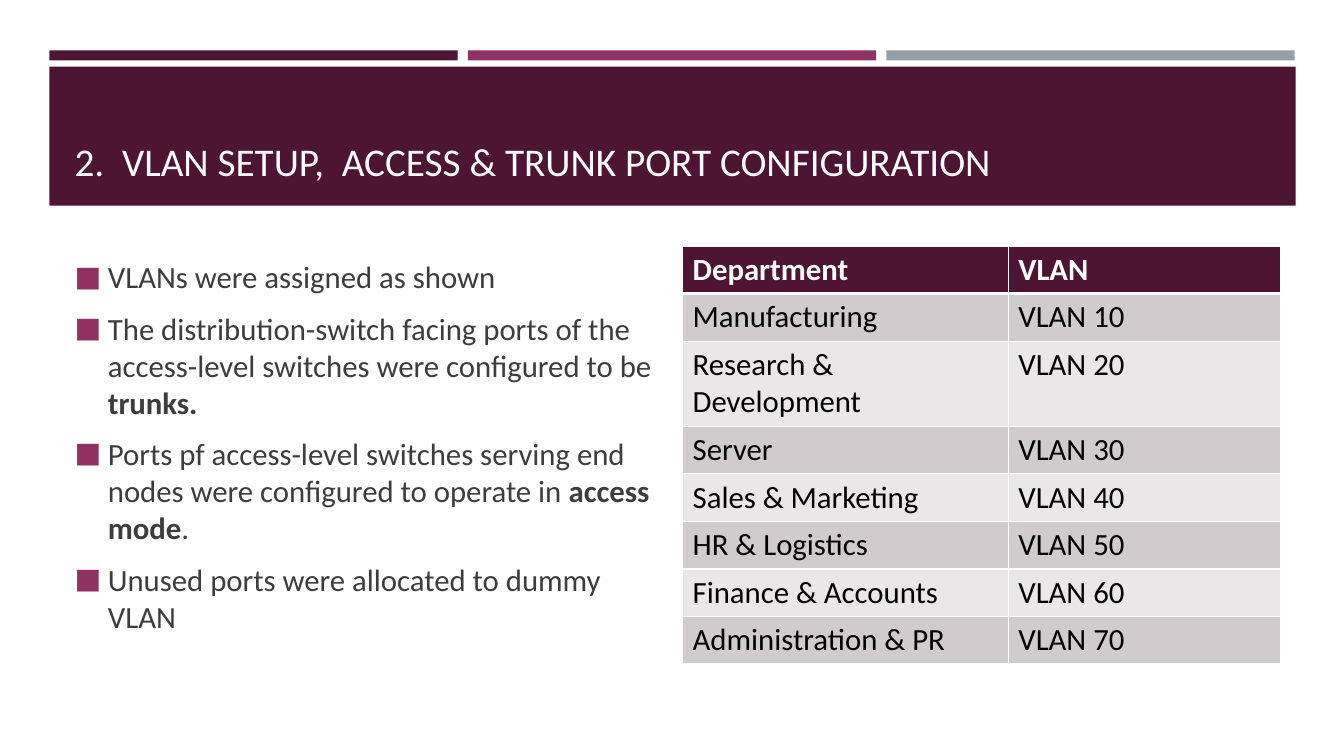
from dataclasses import dataclass

from lxml import etree
from pptx import Presentation
from pptx.dml.color import RGBColor
from pptx.enum import shapes, text
from pptx.oxml.ns import qn
from pptx.util import Inches, Pt

TITLE = "2.  VLAN SETUP,  ACCESS & TRUNK PORT CONFIGURATION"
BULLETS = [
    [("VLANs were assigned as shown", False)],
    [("The distribution-switch facing ports of the access-level switches "
      "were configured to be ", False), ("trunks.", True)],
    [("Ports pf access-level switches serving end nodes were configured "
      "to operate in ", False), ("access mode", True), (".", False)],
    [("Unused ports were allocated to dummy VLAN", False)],
]
HEADER = ("Department", "VLAN")
DEPARTMENTS = ["Manufacturing", "Research & Development", "Server",
               "Sales & Marketing", "HR & Logistics", "Finance & Accounts",
               "Administration & PR"]


@dataclass(frozen=True)
class Theme:
    font: str = "Calibri"
    title_size: int = 28
    body_size: int = 22
    plum: str = "4D1434"
    magenta: str = "903163"
    slate: str = "969FA7"
    white: str = "FFFFFF"
    black: str = "000000"
    body: str = "3D3D3D"
    row_dark: str = "D0CCCE"
    row_light: str = "E9E7E8"


T = Theme()
MARGIN, BAR_W, BAR_GAP = 0.49, 4.05, 0.1
TEXT_LEFT, COLUMN_W, CONTENT_TOP = 0.64, 5.93, 2.44
TABLE_LEFT, COLUMNS, ROW_H = 6.77, (3.23, 2.7), 0.41


def add_run(p, words, *, size=T.body_size, color=T.body, bold=False):
    r = p.add_run()
    r.text = words
    r.font.name = T.font
    r.font.size = Pt(size)
    r.font.bold = bold
    r.font.color.rgb = RGBColor.from_string(color)


def add_band(slide, box, color):
    sp = slide.shapes.add_shape(shapes.MSO_SHAPE.RECTANGLE, *map(Inches, box))
    sp.shadow.inherit = False
    sp.fill.solid()
    sp.fill.fore_color.rgb = RGBColor.from_string(color)
    sp.line.fill.background()
    slide.shapes.element.insert(2, sp.element)


def place(sp, box, anchor):
    sp.left, sp.top, sp.width, sp.height = map(Inches, box)
    tf = sp.text_frame
    tf.word_wrap = True
    tf.auto_size = text.MSO_AUTO_SIZE.NONE
    tf.vertical_anchor = anchor
    return tf


def add_bullet(p):
    p.space_before, p.space_after = Pt(T.body_size * 0.2), Pt(6)
    p.alignment = text.PP_ALIGN.LEFT
    pPr = p._p.get_or_add_pPr()
    pPr.set("marL", str(Inches(0.33)))
    pPr.set("indent", str(Inches(-0.33)))
    color = etree.SubElement(pPr, qn("a:buClr"))
    etree.SubElement(color, qn("a:srgbClr"), val=T.magenta)
    etree.SubElement(pPr, qn("a:buSzPct"), val="92000")
    etree.SubElement(pPr, qn("a:buFont"), typeface=T.font)
    etree.SubElement(pPr, qn("a:buChar"), char="■")


def add_borders(cell, widths):
    tcPr = cell._tc.get_or_add_tcPr()
    for i, (side, width) in enumerate(zip("LRTB", widths)):
        ln = etree.Element(qn(f"a:ln{side}"), w=str(Pt(width)))
        fill = etree.SubElement(ln, qn("a:solidFill"))
        etree.SubElement(fill, qn("a:srgbClr"), val=T.white)
        tcPr.insert(i, ln)


def add_vlan_table(slide):
    rows = [HEADER] + [(name, f"VLAN {10 * n}")
                       for n, name in enumerate(DEPARTMENTS, 1)]
    box = (TABLE_LEFT, CONTENT_TOP, sum(COLUMNS), ROW_H * len(rows))
    table = slide.shapes.add_table(len(rows), len(HEADER),
                                   *map(Inches, box)).table
    for column, width in zip(table.columns, COLUMNS):
        column.width = Inches(width)
    for i, row in enumerate(rows):
        table.rows[i].height = Inches(ROW_H)
        head = i == 0
        fill = T.plum if head else (T.row_light, T.row_dark)[i % 2]
        for j, words in enumerate(row):
            cell = table.cell(i, j)
            cell.fill.solid()
            cell.fill.fore_color.rgb = RGBColor.from_string(fill)
            add_run(cell.text_frame.paragraphs[0], words, bold=head,
                    color=T.white if head else T.black)
            add_borders(cell, (1, 1, 3 if i == 1 else 1, 3 if head else 1))


def main():
    prs = Presentation()
    prs.slide_width, prs.slide_height = Inches(13.33), Inches(7.5)
    slide = prs.slides.add_slide(prs.slide_layouts[1])

    for i, color in enumerate((T.plum, T.magenta, T.slate)):
        left = MARGIN + i * (BAR_W + BAR_GAP)
        add_band(slide, (left, 0.5, BAR_W, 0.1), color)
    add_band(slide, (MARGIN, 0.66, 12.36, 1.38), T.plum)

    title, body = slide.placeholders
    tf = place(title, (TEXT_LEFT, 0.8, 12.06, 1.08), text.MSO_ANCHOR.BOTTOM)
    p = tf.paragraphs[0]
    p.alignment = text.PP_ALIGN.LEFT
    add_run(p, TITLE, size=T.title_size, color=T.white)

    tf = place(body, (TEXT_LEFT, CONTENT_TOP, COLUMN_W, 3.97),
               text.MSO_ANCHOR.MIDDLE)
    for i, runs in enumerate(BULLETS):
        p = tf.add_paragraph() if i else tf.paragraphs[0]
        add_bullet(p)
        for words, bold in runs:
            add_run(p, words, bold=bold)

    add_vlan_table(slide)
    prs.save("out.pptx")


if __name__ == "__main__":
    main()
